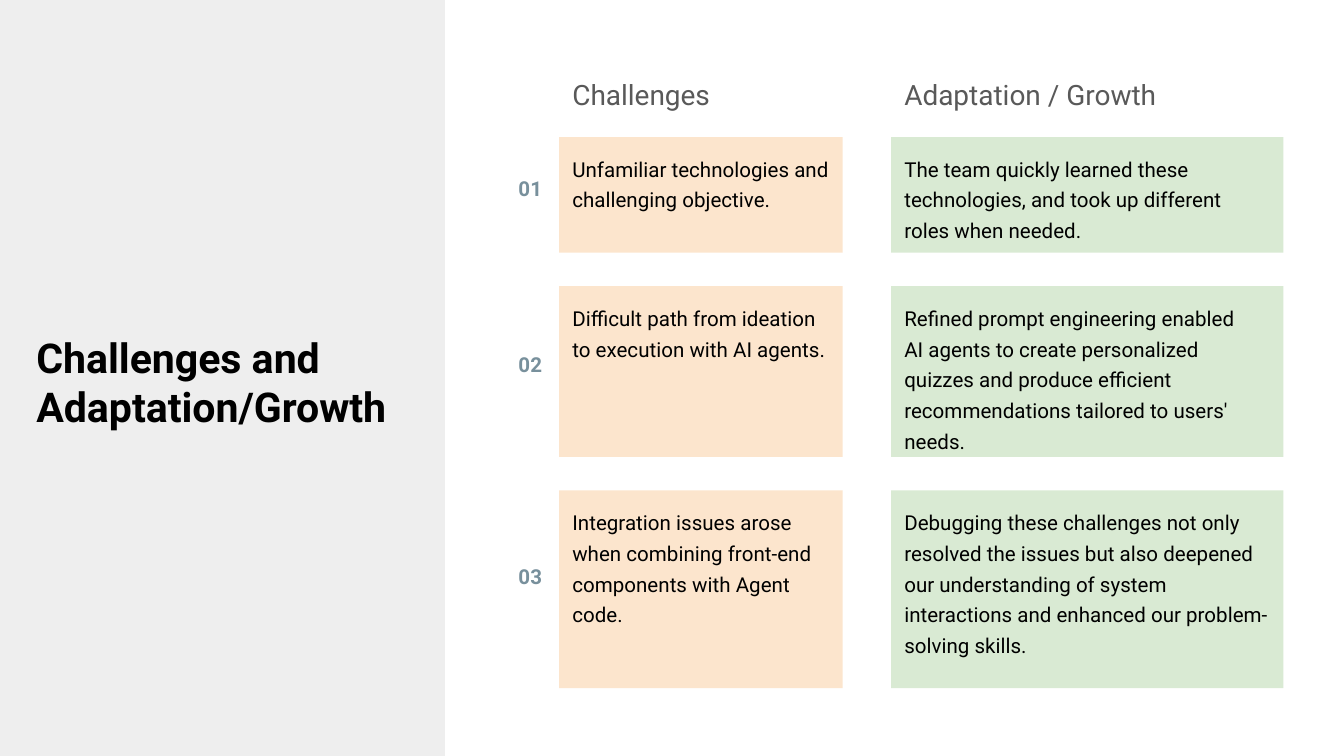
from pptx import Presentation
from pptx.dml.color import RGBColor
from pptx.enum.shapes import MSO_SHAPE
from pptx.enum.text import MSO_ANCHOR, MSO_AUTO_SIZE, PP_ALIGN
from pptx.util import Inches, Pt

SLIDE_WIDTH = 10
SLIDE_HEIGHT = SLIDE_WIDTH * 9 / 16

FONT = "Roboto"
BLACK, GRAY, BLUE_GRAY = "000000", "595959", "78909C"
PANEL, PEACH, GREEN = "EEEEEE", "FCE5CD", "D9EAD3"

NUMBER_LEFT, NUMBER_WIDTH, NUMBER_HEIGHT = 3.76, 0.4, 0.49
HEADING_TOP, HEADING_HEIGHT = 0.48, 0.29
FIRST_ROW_TOP, ROW_GAP = 1.02, 0.25

# Heading, left, width, fill
COLUMNS = [
    ("Challenges", 4.16, 2.11, PEACH),
    ("Adaptation / Growth", 6.63, 2.92, GREEN),
]

# Row height, offset of the number, right inset of the growth card, challenge, growth
ROWS = [
    (0.86, 0.19, 0.1,
     "Unfamiliar technologies and challenging objective.",
     "The team quickly learned these technologies, and took up different "
     "roles when needed."),
    (1.27, 0.39, 0.2,
     "Difficult path from ideation to execution with AI agents.",
     "Refined prompt engineering enabled AI agents to create personalized "
     "quizzes and produce efficient recommendations tailored to users' needs."),
    (1.47, 0.45, 0.1,
     "Integration issues arose when combining front-end components with "
     "Agent code.",
     "Debugging these challenges not only resolved the issues but also "
     "deepened our understanding of system interactions and enhanced our "
     "problem-solving skills."),
]


def color(value):
    return RGBColor.from_string(value)


def write(shape, text, size, text_color, bold=False, anchor=MSO_ANCHOR.TOP,
          right_inset=0.1, line_spacing=1.0):
    """Put one left-aligned paragraph into a shape."""
    text_frame = shape.text_frame
    text_frame.text = text
    text_frame.word_wrap = True
    text_frame.auto_size = MSO_AUTO_SIZE.NONE
    text_frame.vertical_anchor = anchor
    text_frame.margin_left = text_frame.margin_top = Inches(0.1)
    text_frame.margin_bottom = Inches(0.1)
    text_frame.margin_right = Inches(right_inset)
    paragraph = text_frame.paragraphs[0]
    paragraph.alignment = PP_ALIGN.LEFT
    paragraph.line_spacing = line_spacing
    paragraph.space_before = Pt(0)
    font = paragraph.runs[0].font
    font.name, font.size, font.bold = FONT, Pt(size), bold
    font.color.rgb = color(text_color)


def add_rectangle(slide, left, top, width, height, fill):
    shape = slide.shapes.add_shape(MSO_SHAPE.RECTANGLE, Inches(left), Inches(top),
                                   Inches(width), Inches(height))
    shape.shadow.inherit = False
    shape.fill.solid()
    shape.fill.fore_color.rgb = color(fill)
    shape.line.fill.background()
    return shape


def add_label(slide, left, top, width, height, text, size, text_color, **style):
    box = slide.shapes.add_textbox(Inches(left), Inches(top),
                                   Inches(width), Inches(height))
    write(box, text, size, text_color, **style)


def add_card(slide, left, top, width, height, fill, text, right_inset):
    card = add_rectangle(slide, left, top, width, height, fill)
    write(card, text, 11, BLACK, right_inset=right_inset, line_spacing=1.25)


def add_title_panel(slide):
    title = slide.shapes.title
    title.left, title.top = Inches(0.17), Inches(0.63)
    title.width, title.height = Inches(3.02), Inches(4.42)
    write(title, "Challenges and Adaptation/Growth", 22, BLACK, bold=True,
          anchor=MSO_ANCHOR.MIDDLE)
    panel = add_rectangle(slide, 0, 0, 3.31, SLIDE_HEIGHT, PANEL)
    title.element.addprevious(panel.element)  # keep the panel behind the title


def main():
    presentation = Presentation()
    presentation.slide_width = Inches(SLIDE_WIDTH)
    presentation.slide_height = Inches(SLIDE_HEIGHT)
    slide = presentation.slides.add_slide(presentation.slide_layouts[5])

    add_title_panel(slide)

    # Column headings
    for heading, left, width, _ in COLUMNS:
        add_label(slide, left, HEADING_TOP, width, HEADING_HEIGHT, heading, 15, GRAY)

    # Numbered rows of cards
    top = FIRST_ROW_TOP
    for number, (height, offset, growth_inset, *texts) in enumerate(ROWS, start=1):
        add_label(slide, NUMBER_LEFT, top + offset, NUMBER_WIDTH, NUMBER_HEIGHT,
                  f"{number:02}", 11, BLUE_GRAY, bold=True, right_inset=0)
        insets = (0.1, growth_inset)
        for (_, left, width, fill), text, inset in zip(COLUMNS, texts, insets):
            add_card(slide, left, top, width, height, fill, text, inset)
        top += height + ROW_GAP

    presentation.save("out.pptx")


if __name__ == "__main__":
    main()
